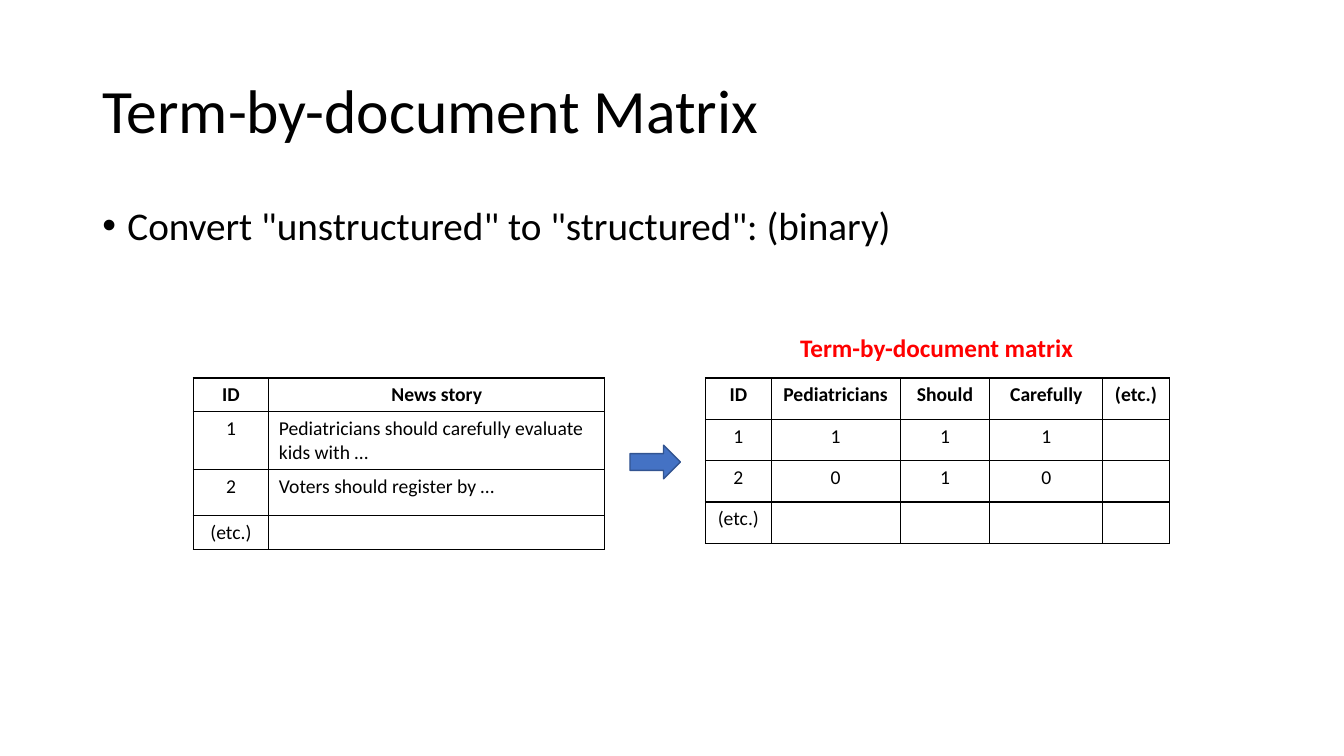
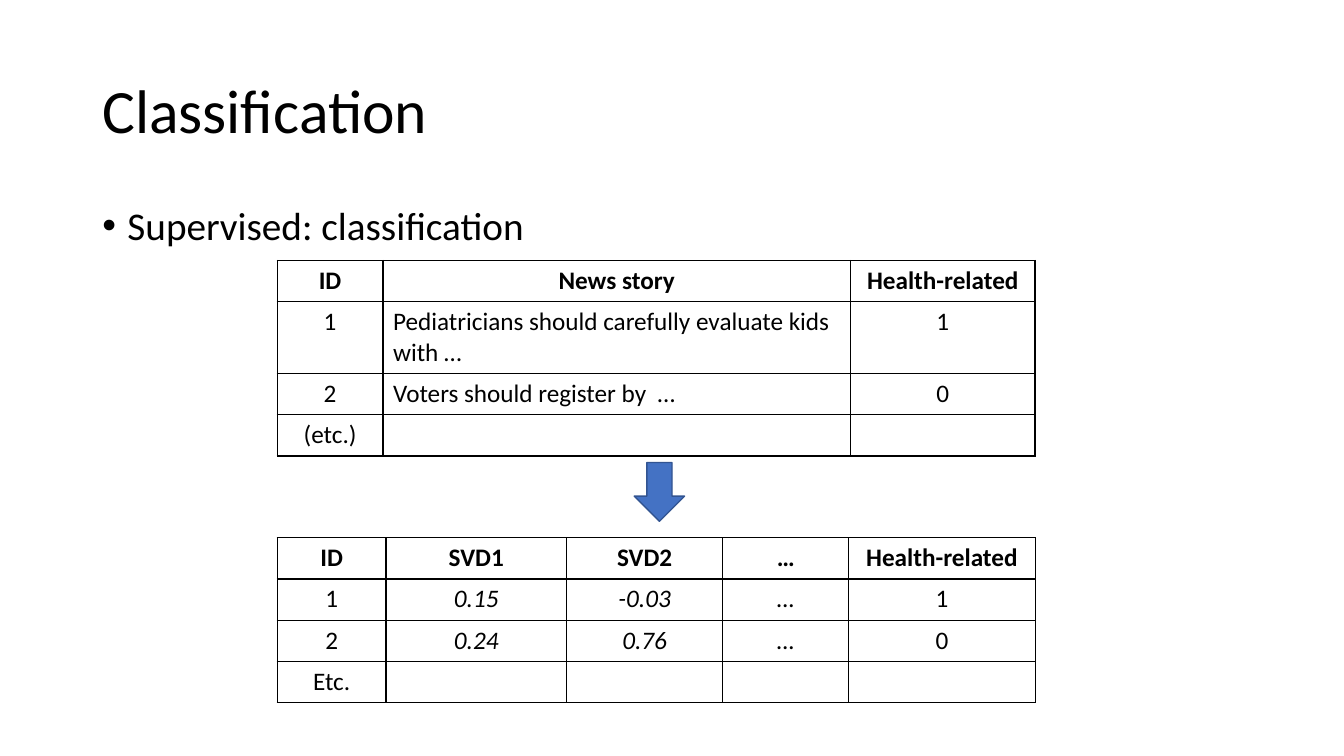
from dataclasses import dataclass
from lxml.etree import SubElement, fromstring
from pptx import Presentation
from pptx.dml.color import RGBColor
from pptx.enum.shapes import MSO_SHAPE
from pptx.enum.text import MSO_ANCHOR, PP_ALIGN
from pptx.oxml.ns import nsdecls, qn
from pptx.slide import Slide
from pptx.table import _Cell
from pptx.text.text import _Paragraph
from pptx.util import Pt


@dataclass(frozen=True)
class Theme:
    """Colours, font and type sizes shared by all slides."""
    font: str = "Calibri"
    ink: RGBColor = RGBColor(0, 0, 0)
    alert: RGBColor = RGBColor(0xFF, 0, 0)
    fill: RGBColor = RGBColor(0x44, 0x72, 0xC4)
    edge: RGBColor = RGBColor(0x32, 0x54, 0x91)
    title: int = 44
    body: int = 28
    large: int = 18
    small: int = 14
    rule: int = 1
    indent: int = 18


@dataclass(frozen=True)
class Box:
    """A frame in points."""
    left: float
    top: float
    width: float
    height: float

    def place(self) -> tuple[Pt, ...]:
        """Give the frame as lengths."""
        return tuple(map(Pt, (self.left, self.top, self.width, self.height)))


@dataclass(frozen=True)
class Grid:
    """A ruled table; its first row is the header."""
    left: float
    top: float
    cols: tuple[float, ...]
    rows: tuple[float, ...]
    size: int
    cells: tuple[tuple[str, ...], ...]
    flush: tuple[int, ...] = ()
    italic: tuple[int, ...] = ()


@dataclass(frozen=True)
class Arrow:
    """A block arrow with its turn in degrees."""
    box: Box
    turn: int = 0


@dataclass(frozen=True)
class Label:
    """A bold centred caption."""
    box: Box
    text: str


@dataclass(frozen=True)
class Page:
    """One slide: title, bullet and the items under them."""
    title: str
    point: str
    items: tuple[Grid | Arrow | Label, ...]


THEME = Theme()
TITLE = Box(66, 28.8, 828, 104.4)
BODY = Box(66, 144, 828, 342.7)
ROW = 29.52
KIDS = "Pediatricians should carefully evaluate kids with …"
VOTE = "Voters should register by"

PAGES = (
    Page("Term-by-document Matrix",
         'Convert "unstructured" to "structured": (binary)', (
             Grid(504, 270, (46.8, 92.2, 64.1, 80.6, 47.5), (ROW,) * 4, THEME.small, (
                 ("ID", "Pediatricians", "Should", "Carefully", "(etc.)"),
                 ("1", "1", "1", "1", ""),
                 ("2", "0", "1", "0", ""),
                 ("(etc.)", "", "", "", ""))),
             Label(Box(534, 234, 270, 30), "Term-by-document matrix"),
             Grid(138, 270, (54, 240), (24.2, 41.2, 33.1, 24.2), THEME.small, (
                 ("ID", "News story"),
                 ("1", KIDS),
                 ("2", f"{VOTE} …"),
                 ("(etc.)", "")), flush=(1,)),
             Arrow(Box(450, 318, 36, 24)))),
    Page("Classification", "Supervised: classification", (
        Grid(198, 186, (75.6, 334, 131.8), (ROW, 51.2, ROW, ROW), THEME.large, (
            ("ID", "News story", "Health-related"),
            ("1", KIDS, "1"),
            ("2", f"{VOTE}  …", "0"),
            ("(etc.)", "", "")), flush=(1,)),
        Grid(198, 384, (77.8, 128.9, 111.6, 90, 133.2), (ROW,) * 4, THEME.large, (
            ("ID", "SVD1", "SVD2", "…", "Health-related"),
            ("1", "0.15", "-0.03", "…", "1"),
            ("2", "0.24", "0.76", "…", "0"),
            ("Etc.", "", "", "", "")), italic=(1, 2, 3)),
        Arrow(Box(450, 333.4, 42, 36), 90))),
)


def style(para: _Paragraph, size: int, color: RGBColor = THEME.ink,
          bold: bool = False, italic: bool = False) -> None:
    """Format every run of a paragraph."""
    for run in para.runs:
        font = run.font
        font.name, font.size = THEME.font, Pt(size)
        font.bold, font.italic = bold, italic
        font.color.rgb = color


def write(slide: Slide, box: Box, text: str) -> _Paragraph:
    """Add a wrapped text box and return its paragraph."""
    frame = slide.shapes.add_textbox(*box.place()).text_frame
    frame.word_wrap = True
    frame.text = text
    return frame.paragraphs[0]


def head(slide: Slide, text: str) -> None:
    """Draw the slide title."""
    frame = slide.shapes.add_textbox(*TITLE.place()).text_frame
    frame.word_wrap = True
    frame.vertical_anchor = MSO_ANCHOR.MIDDLE
    frame.text = text
    para = frame.paragraphs[0]
    para.line_spacing = 0.9
    style(para, THEME.title)


def bullet(slide: Slide, text: str) -> None:
    """Draw the bulleted line of the body."""
    para = write(slide, BODY, text)
    para.line_spacing, para.space_before = 0.9, Pt(10)
    style(para, THEME.body)
    props = para._p.get_or_add_pPr()
    props.set("marL", str(Pt(THEME.indent)))
    props.set("indent", str(-Pt(THEME.indent)))
    SubElement(props, qn("a:buFont")).set("typeface", "Arial")
    SubElement(props, qn("a:buChar")).set("char", "•")


def label(slide: Slide, item: Label) -> None:
    """Draw a caption."""
    para = write(slide, item.box, item.text)
    para.alignment = PP_ALIGN.CENTER
    style(para, THEME.large, THEME.alert, bold=True)


def border(cell: _Cell) -> None:
    """Rule all four sides of a cell and clear its fill."""
    cell.fill.background()
    props = cell._tc.get_or_add_tcPr()
    for spot, side in enumerate("LRTB"):
        props.insert(spot, fromstring(
            f'<a:ln{side} {nsdecls("a")} w="{Pt(THEME.rule)}"><a:solidFill>'
            f'<a:srgbClr val="{THEME.ink}"/></a:solidFill></a:ln{side}>'))


def grid(slide: Slide, item: Grid) -> None:
    """Draw a table."""
    box = Box(item.left, item.top, sum(item.cols), sum(item.rows))
    table = slide.shapes.add_table(
        len(item.rows), len(item.cols), *box.place()).table
    table.first_row = table.horz_banding = False
    for col, width in zip(table.columns, item.cols):
        col.width = Pt(width)
    for row, height in zip(table.rows, item.rows):
        row.height = Pt(height)
    for r, line in enumerate(item.cells):
        for c, text in enumerate(line):
            cell = table.cell(r, c)
            border(cell)
            cell.text_frame.text = text
            para = cell.text_frame.paragraphs[0]
            flush = r > 0 and c in item.flush
            para.alignment = PP_ALIGN.LEFT if flush else PP_ALIGN.CENTER
            style(para, item.size, bold=r == 0, italic=r > 0 and c in item.italic)
            if not text:
                SubElement(para._p, qn("a:endParaRPr")).set("sz", str(item.size * 100))


def arrow(slide: Slide, item: Arrow) -> None:
    """Draw a block arrow."""
    shape = slide.shapes.add_shape(MSO_SHAPE.RIGHT_ARROW, *item.box.place())
    shape.rotation = item.turn
    shape.shadow.inherit = False
    shape.fill.solid()
    shape.fill.fore_color.rgb = THEME.fill
    shape.line.color.rgb = THEME.edge
    shape.line.width = Pt(THEME.rule)


DRAW = {Grid: grid, Arrow: arrow, Label: label}


def build() -> None:
    """Build and save the deck."""
    deck = Presentation()
    deck.slide_width, deck.slide_height = Pt(960), Pt(540)
    for page in PAGES:
        slide = deck.slides.add_slide(deck.slide_layouts[6])
        head(slide, page.title)
        bullet(slide, page.point)
        for item in page.items:
            DRAW[type(item)](slide, item)
    deck.save("out.pptx")


build()
